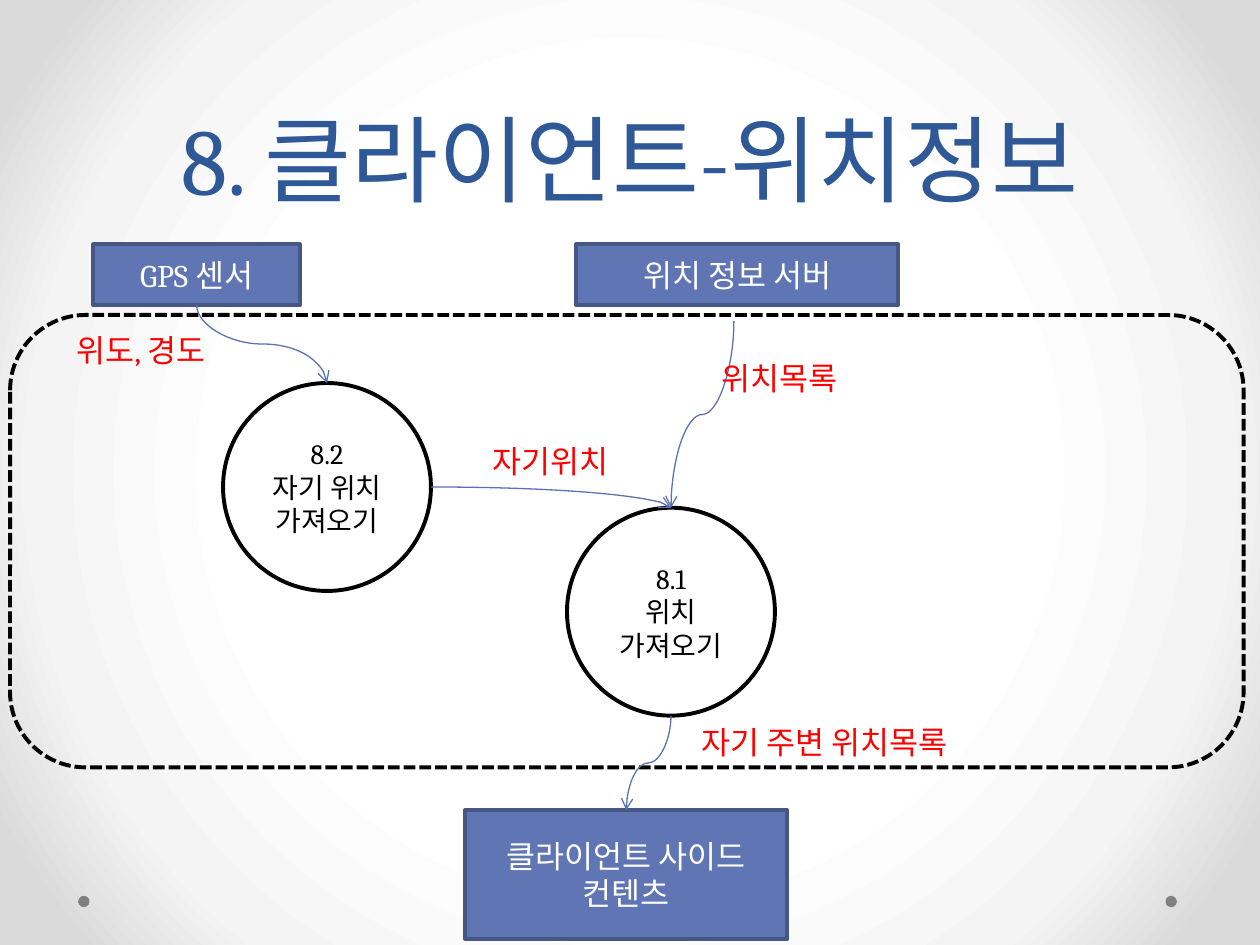
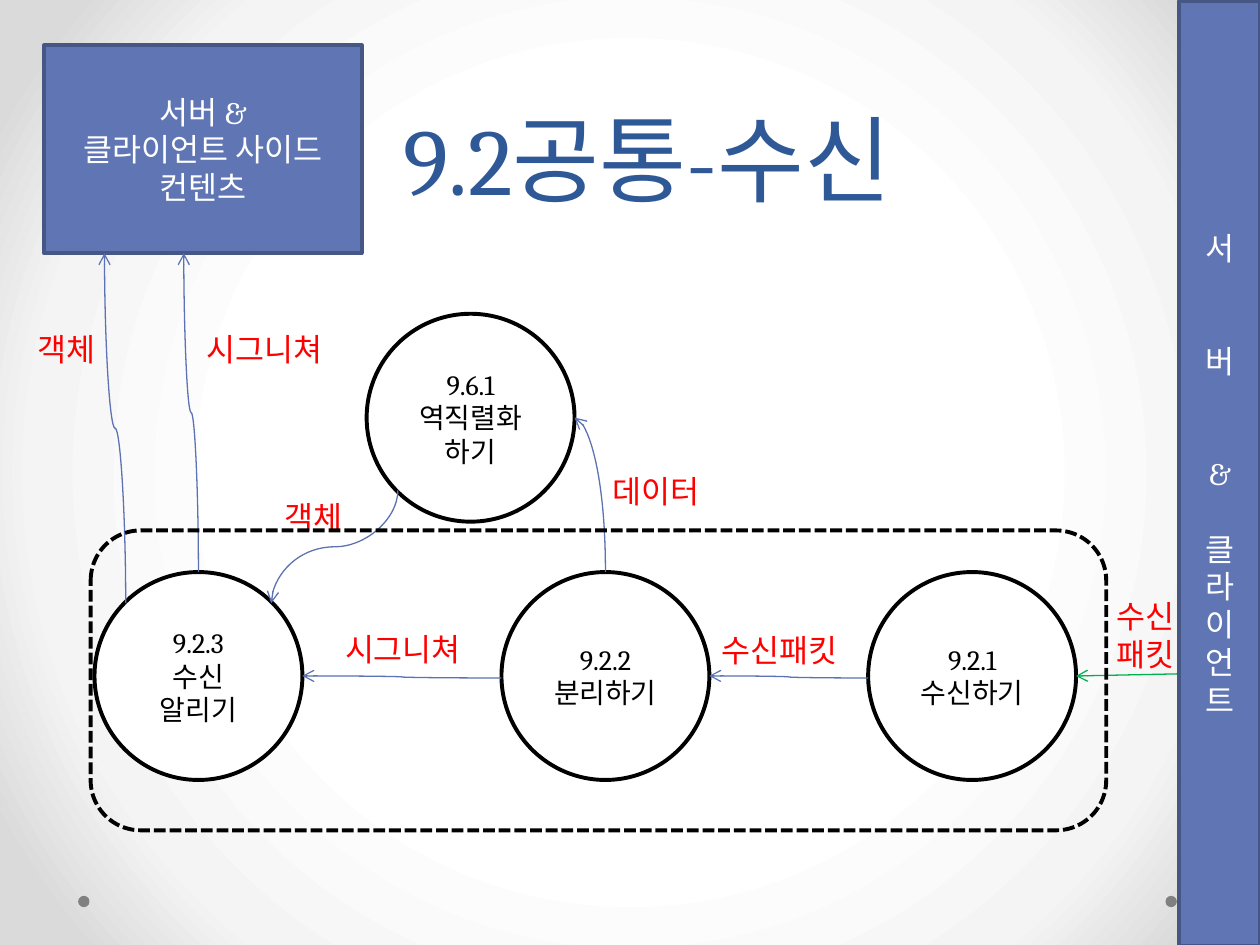
"""Build two data-flow slides: client location and common reception."""
from pptx import Presentation, util as u
from pptx.dml.color import RGBColor
from pptx.enum import dml, shapes, text
from pptx.oxml import parse_xml
from pptx.oxml.ns import nsdecls, qn

W, H, D = 10, 7.5, 1.65
FONT = "Cambria"
BLUE, EDGE, FLOW, GREEN = "6076B4", "475785", "5C72B2", "00B050"
TITLE, RED, BLACK, WHITE, GREY = "2F5897", "FF0000", "000000", "FFFFFF", "808080"
BACKDROP = [(50, WHITE), (76, "F4F4F4"), (92, "DADADA")]
LINE_PT = 21.4

TOP, BOTTOM, LEFT, RIGHT = (0.5, 0), (0.5, 1), (0, 0.5), (1, 0.5)
TOP_LEFT, TOP_RIGHT, LOW_LEFT = (0.15, 0.15), (0.85, 0.15), (0.15, 0.85)

SLIDES = [
    {"title": ("8. 클라이언트-위치정보", 0.5), "items": [
        ("box", "client", (3.69, 6.43, 2.56, 1.02), ["클라이언트 사이드", "컨텐츠"]),
        ("frame", (0.08, 2.5, 9.79, 3.59)),
        ("box", "gps", (0.74, 1.94, 1.64, 0.48), ["GPS 센서"]),
        ("box", "server", (4.57, 1.94, 2.56, 0.48), ["위치 정보 서버"]),
        ("label", (5.47, 5.69, 2.68, 0.4), ["자기 주변 위치목록"]),
        ("circle", "8.1", (4.5, 4.03, D, D), ["8.1", "위치", "가져오기"]),
        ("circle", "8.2", (1.77, 3.04, D, D), ["8.2", "자기 위치", "가져오기"]),
        ("flow", "vertical", "8.1", BOTTOM, "client", TOP),
        ("flow", "vertical", "server", (0.49, 1.27), "8.1", TOP),
        ("flow", "bend", "8.2", RIGHT, "8.1", TOP),
        ("flow", "vertical", "gps", BOTTOM, "8.2", TOP),
        ("label", (5.63, 2.8, 2.68, 0.4), ["위치목록"]),
        ("label", (0.51, 2.58, 2.68, 0.4), ["위도, 경도"]),
        ("label", (3.81, 3.46, 2.68, 0.4), ["자기위치"]),
    ]},
    {"title": ("9.2공통-수신", 0.64), "items": [
        ("circle", "9.2.3", (0.75, 4.54, D, D), ["9.2.3", "수신", "알리기"]),
        ("circle", "9.2.2", (3.98, 4.54, D, D), ["9.2.2", "분리하기"]),
        ("circle", "9.2.1", (6.89, 4.54, D, D), ["9.2.1", "수신하기"]),
        ("flow", "straight", "peers", (1, 0.71), "9.2.1", RIGHT),
        ("circle", "9.6.1", (2.91, 2.49, D, D), ["9.6.1", "역직렬화", "하기"]),
        ("flow", "horizontal", "9.2.1", (0, 0.51), "9.2.2", RIGHT),
        ("flow", "horizontal", "9.2.2", (0, 0.51), "9.2.3", RIGHT),
        ("flow", "vertical bend", "9.2.2", TOP, "9.6.1", RIGHT),
        ("flow", "vertical", "9.6.1", LOW_LEFT, "9.2.3", TOP_RIGHT),
        ("box", "content", (0.35, 0.36, 2.52, D), ["서버 &", "클라이언트 사이드", "컨텐츠"]),
        ("flow", "vertical", "9.2.3", TOP_LEFT, "content", (0.19, 1)),
        ("flow", "vertical", "9.2.3", TOP, "content", (0.44, 1)),
        ("label", (5.63, 4.96, 1.5, 0.4), ["수신패킷"]),
        ("label", (4.76, 3.7, 1.06, 0.4), ["데이터"]),
        ("label", (2.64, 4.95, 1.3, 0.4), ["시그니쳐"]),
        ("label", (2.16, 3.9, 0.77, 0.4), ["객체"]),
        ("label", (0.2, 2.57, 0.77, 0.4), ["객체"]),
        ("label", (1.54, 2.57, 1.3, 0.4), ["시그니쳐"]),
        ("frame", (0.72, 4.21, 8.06, 2.38)),
        ("box", "peers", (9.36, 0.01, 0.64, H), list("서버&클라이언트"), {1: 2, 2: 2, 3: 1}),
        ("label", (8.76, 4.69, 1.18, 0.71), ["수신", "패킷"]),
    ]},
]


def rgb(value):
    """Turn a hex string into a colour."""
    return RGBColor.from_string(value)


def inches(values):
    """Convert numbers to lengths."""
    return [u.Inches(v) for v in values]


def write(sp, lines, size, color, align=text.PP_ALIGN.CENTER, gaps=None):
    """Write one paragraph per line, with optional gaps counted in lines."""
    tf = sp.text_frame
    tf.word_wrap = True
    tf.text = "\n".join(lines)
    for i, p in enumerate(tf.paragraphs):
        p.alignment = align
        if gaps and i in gaps:
            p.space_before = u.Pt(gaps[i] * LINE_PT)
        for r in p.runs:
            r.font.name, r.font.size = FONT, u.Pt(size)
            r.font.color.rgb = rgb(color)
    return tf


def shape(s, kind, at, fill=None, line=None):
    """Add a flat preset shape."""
    sp = s.shapes.add_shape(kind, *inches(at))
    sp.shadow.inherit = False
    if fill:
        sp.fill.solid()
        sp.fill.fore_color.rgb = rgb(fill)
    else:
        sp.fill.background()
    if line:
        sp.line.color.rgb = rgb(line)
        sp.line.width = u.Pt(2.25)
    else:
        sp.line.fill.background()
    return sp


def box(s, nodes, name, at, lines, gaps=None):
    """Add an external entity."""
    sp = shape(s, shapes.MSO_SHAPE.RECTANGLE, at, BLUE, EDGE)
    tf = write(sp, lines, 18, WHITE, gaps=gaps)
    tf.vertical_anchor = text.MSO_ANCHOR.MIDDLE


def circle(s, nodes, name, at, lines):
    """Add a process."""
    sp = shape(s, shapes.MSO_SHAPE.OVAL, at, WHITE, BLACK)
    tf = write(sp, lines, 16, BLACK)
    tf.vertical_anchor = text.MSO_ANCHOR.MIDDLE
    tf.margin_left = tf.margin_right = tf.margin_top = tf.margin_bottom = u.Inches(0.04)


def frame(s, nodes, at):
    """Add a dashed system boundary."""
    sp = shape(s, shapes.MSO_SHAPE.ROUNDED_RECTANGLE, at, line=BLACK)
    sp.line.dash_style = dml.MSO_LINE.SQUARE_DOT


def label(s, nodes, at, lines):
    """Add the red name of a flow."""
    sp = s.shapes.add_textbox(*inches(at))
    tf = write(sp, lines, 18, RED, text.PP_ALIGN.LEFT)
    tf.auto_size = text.MSO_AUTO_SIZE.SHAPE_TO_FIT_TEXT


def anchor(at, share):
    """Locate a point given as shares of a node's width and height."""
    return at[0] + at[2] * share[0], at[1] + at[3] * share[1]


def flow(s, nodes, route, source, leave, target, enter):
    """Add an arrow; a vertical route is a horizontal one turned by a quarter."""
    (x1, y1), (x2, y2) = anchor(nodes[source], leave), anchor(nodes[target], enter)
    straight, vertical = route == "straight", "vertical" in route
    turn = 1 if x2 < x1 and y2 > y1 else -1
    if vertical:
        cx, cy = (x1 + x2) / 2, (y1 + y2) / 2
        a, b = turn * (y2 - y1) / 2, -turn * (x2 - x1) / 2
        x1, y1, x2, y2 = cx - a, cy - b, cx + a, cy + b
    kind = shapes.MSO_CONNECTOR.STRAIGHT if straight else shapes.MSO_CONNECTOR.CURVE
    c = s.shapes.add_connector(kind, *inches((x1, y1, x2, y2)))
    c.line.color.rgb = rgb(GREEN if straight else FLOW)
    c.line.width = u.Pt(0.75)
    pr = c._element.spPr
    if vertical:
        pr.find(qn("a:xfrm")).set("rot", str(90 * 60000 if turn > 0 else 270 * 60000))
    if "bend" in route:
        pr.find(qn("a:prstGeom")).set("prst", "curvedConnector2")
    pr.find(qn("a:ln")).append(parse_xml(f'<a:tailEnd {nsdecls("a")} type="arrow"/>'))
    pr.append(parse_xml(f'<a:effectLst {nsdecls("a")}/>'))


def base(s, title, left):
    """Add the backdrop, the two dots and the title."""
    s.background.fill.gradient()
    grad = s._element.find(".//" + qn("a:gradFill"))
    stops = "".join(f'<a:gs pos="{pos * 1000}"><a:srgbClr val="{c}"/></a:gs>' for pos, c in BACKDROP)
    grad.getparent().replace(grad, parse_xml(
        f'<a:gradFill {nsdecls("a")} rotWithShape="1"><a:gsLst>{stops}</a:gsLst><a:path path="circle">'
        '<a:fillToRect l="50000" t="50000" r="50000" b="50000"/></a:path></a:gradFill>'))
    for x in (9.25, 0.62):
        shape(s, shapes.MSO_SHAPE.OVAL, (x, 7.11, 0.09, 0.09), GREY)
    sp = s.shapes.add_textbox(*inches((left, 0, 0.9 * W, 1.75)))
    tf = write(sp, [title], 54, TITLE)
    tf.vertical_anchor = text.MSO_ANCHOR.BOTTOM
    tf.paragraphs[0].line_spacing = u.Pt(58)


DRAW = {"box": box, "circle": circle, "frame": frame, "label": label, "flow": flow}


def main():
    """Build and save the presentation."""
    prs = Presentation()
    prs.slide_width, prs.slide_height = inches((W, H))
    for page in SLIDES:
        s = prs.slides.add_slide(prs.slide_layouts[6])
        base(s, *page["title"])
        nodes = {item[1]: item[2] for item in page["items"] if item[0] in ("box", "circle")}
        for kind, *details in page["items"]:
            DRAW[kind](s, nodes, *details)
    prs.save("out.pptx")


main()
